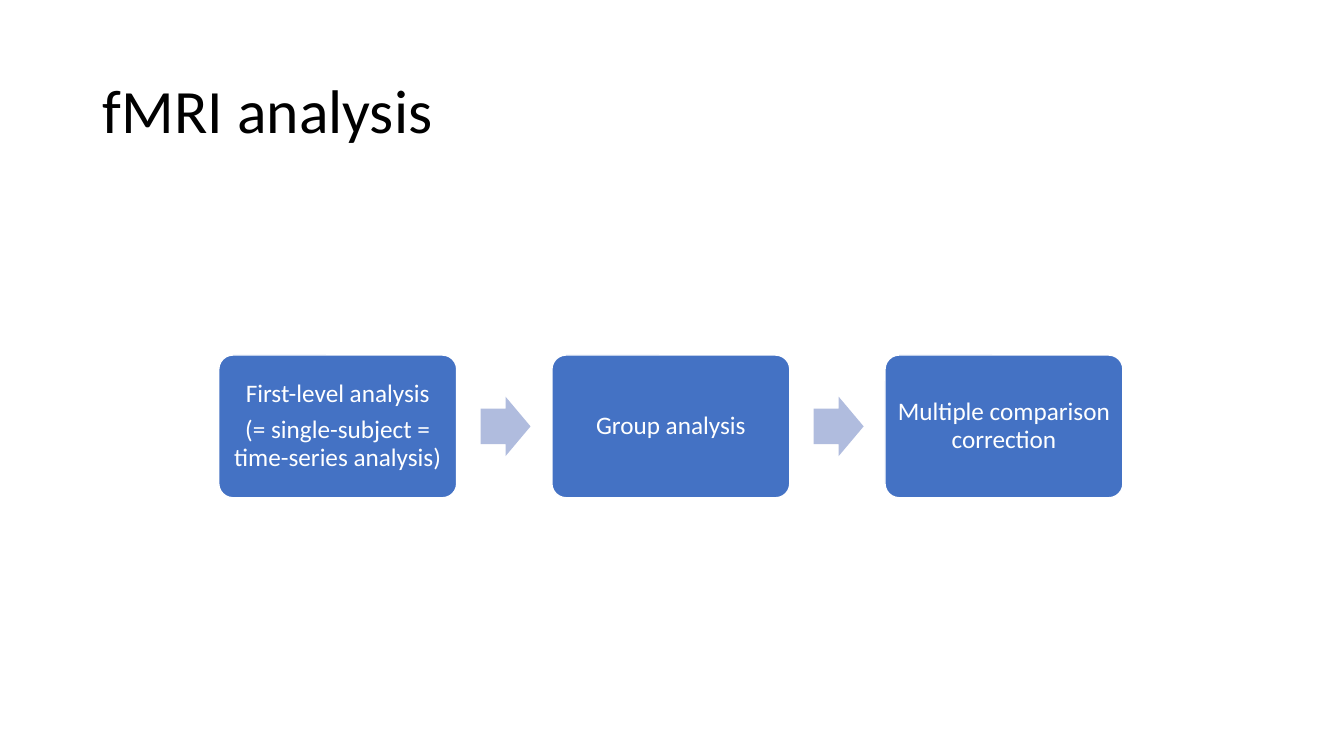
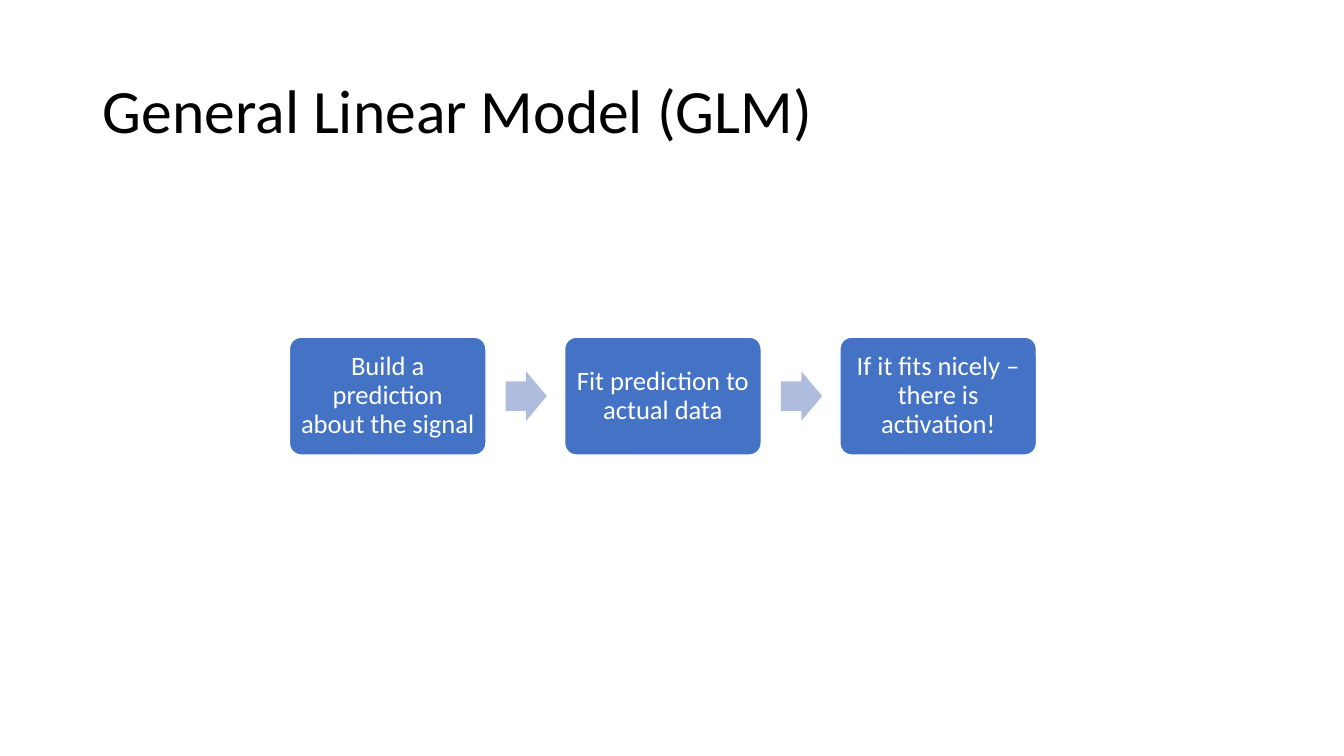
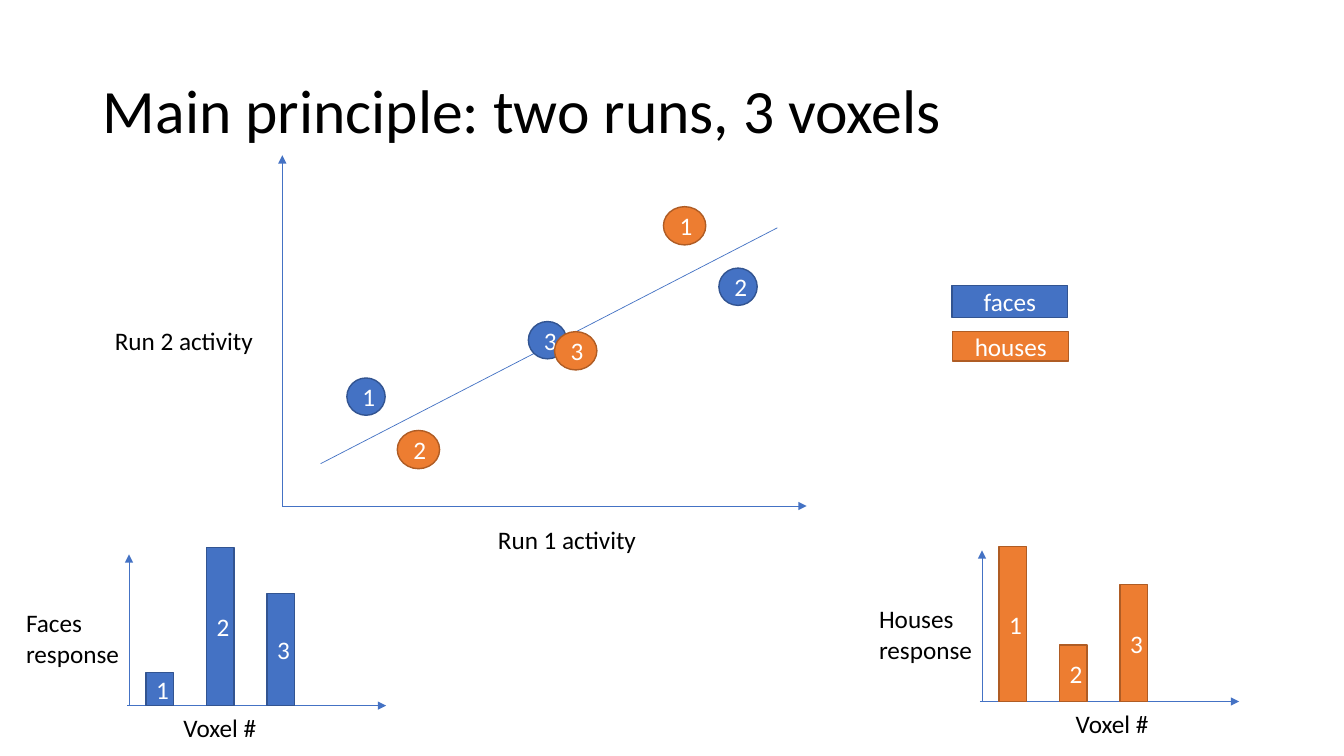
from dataclasses import dataclass

from lxml import etree
from pptx import Presentation
from pptx import util as u
from pptx.dml.color import RGBColor
from pptx.enum import shapes, text
from pptx.oxml import ns


@dataclass(frozen=True)
class Theme:
    font: str = "Calibri"
    title: int = 44
    body: int = 18
    black: str = "000000"
    white: str = "FFFFFF"
    blue: str = "4472C4"
    blue_edge: str = "325491"
    orange: str = "ED7D31"
    orange_edge: str = "AF5C24"
    arrow: str = "B0BCDE"
    edge: float = 1
    axis: float = 0.5


T = Theme()
SIZE = (13.33, 7.5)
TITLE_BOX = (0.92, 0.4, 11.5, 1.45)
BLUE = (T.blue, T.blue_edge)
ORANGE = (T.orange, T.orange_edge)

FLOWS = [
    {"title": "fMRI analysis", "left": 2.17, "middle": 4.23, "width": 2.36, "size": 18, "inset": 0.07,
     "steps": [["First-level analysis", "(= single-subject = time-series analysis)"],
               ["Group analysis"],
               ["Multiple comparison correction"]]},
    {"title": "General Linear Model (GLM)", "left": 2.87, "middle": 3.93, "width": 1.95, "size": 19, "inset": 0.08,
     "steps": [["Build a prediction about the signal"],
               ["Fit prediction to actual data"],
               ["If it fits nicely – there is activation!"]]},
]

SCATTER_TITLE = "Main principle: two runs, 3 voxels"
SCATTER_LINES = [
    ((2.8, 5.02), (2.8, 1.54), True),
    ((2.8, 5.02), (8, 5.02), True),
    ((3.18, 4.6), (7.71, 2.26), False),
]
SCATTER_LABELS = [("Run 2 activity", (1.04, 3.18, 1.59, 0.4)),
                  ("Run 1 activity", (4.84, 5.15, 1.65, 0.4))]
CONDITIONS = [
    {"legend": ("faces", (9.44, 2.83, 1.15, 0.32)), "colors": BLUE, "dot": (0.38, 0.37),
     "points": [(3.44, 3.75), (7.13, 2.66), (5.24, 3.19)],
     "label": "Faces response", "origin": (1.28, 7), "bars": [0.33, 1.57, 1.11], "voxel_x": 0.44},
    {"legend": ("houses", (9.45, 3.29, 1.15, 0.29)), "colors": ORANGE, "dot": (0.42, 0.38),
     "points": [(6.58, 2.05), (3.94, 4.27), (5.5, 3.29)],
     "label": "Houses response", "origin": (9.74, 6.96), "bars": [1.54, 0.56, 1.16], "voxel_x": 0.83},
]


def inches(values):
    return [u.Inches(v) for v in values]


def rgb(color):
    return RGBColor.from_string(color)


def write(tf, lines, size=T.body, color=T.black, align=None, spacing=None):
    for i, line in enumerate(lines):
        p = tf.paragraphs[0] if i == 0 else tf.add_paragraph()
        if align is not None:
            p.alignment = align
        if spacing:
            p.line_spacing = spacing
        if i:
            p.space_before = u.Pt(size * 0.35)
        r = p.add_run()
        r.text = line
        r.font.name, r.font.size = T.font, u.Pt(size)
        r.font.color.rgb = rgb(color)


def add_slide(prs, title):
    s = prs.slides.add_slide(prs.slide_layouts.get_by_name("Title Only"))
    tf = s.shapes.title.text_frame
    tf.vertical_anchor = text.MSO_ANCHOR.MIDDLE
    write(tf, [title], T.title, align=text.PP_ALIGN.LEFT, spacing=0.9)
    return s


def add_shape(s, kind, box, fill, edge=None, lines=(), size=T.body, spacing=None):
    sp = s.shapes.add_shape(kind, *inches(box))
    sp.shadow.inherit = False
    sp.fill.solid()
    sp.fill.fore_color.rgb = rgb(fill)
    if edge:
        sp.line.color.rgb = rgb(edge)
        sp.line.width = u.Pt(T.edge)
    else:
        sp.line.fill.background()
    write(sp.text_frame, lines, size, T.white, text.PP_ALIGN.CENTER, spacing)
    return sp


def add_label(s, label, box, wrap=False):
    tf = s.shapes.add_textbox(*inches(box)).text_frame
    tf.word_wrap = wrap
    tf.auto_size = text.MSO_AUTO_SIZE.SHAPE_TO_FIT_TEXT
    write(tf, [label])


def add_line(s, start, end, arrow=True):
    c = s.shapes.add_connector(shapes.MSO_CONNECTOR.STRAIGHT, *inches((*start, *end)))
    c.line.color.rgb = rgb(T.blue)
    c.line.width = u.Pt(T.axis)
    if arrow:
        etree.SubElement(c.line._get_or_add_ln(), ns.qn("a:tailEnd"), type="triangle")
    etree.SubElement(c._element.spPr, ns.qn("a:effectLst"))


def add_flow(prs, flow):
    s = add_slide(prs, flow["title"])
    w, middle = flow["width"], flow["middle"]
    h, arrow_w, arrow_h = 0.6 * w, 0.21 * w, 0.25 * w
    for i, step in enumerate(flow["steps"]):
        x = flow["left"] + i * 1.4 * w
        sp = add_shape(s, shapes.MSO_SHAPE.ROUNDED_RECTANGLE, (x, middle - h / 2, w, h),
                       T.blue, T.white, step, flow["size"], 0.9)
        sp.adjustments[0] = 0.1
        tf = sp.text_frame
        tf.margin_left = tf.margin_right = tf.margin_top = tf.margin_bottom = u.Inches(flow["inset"])
        if i < len(flow["steps"]) - 1:
            arrow = add_shape(s, shapes.MSO_SHAPE.RIGHT_ARROW,
                              (x + 1.1 * w, middle - arrow_h / 2, arrow_w, arrow_h), T.arrow)
            arrow.adjustments[0], arrow.adjustments[1] = 0.6, 0.5


def add_bars(s, cond):
    x, y = cond["origin"]
    add_line(s, (x, y), (x, y - 1.5))
    add_line(s, (x - 0.02, y), (x + 2.55, y))
    add_label(s, cond["label"], (x - 1.12, y - 1.02, 1.19, 0.71), wrap=True)
    add_label(s, "Voxel #", (x + cond["voxel_x"], y + 0.02, 0.93, 0.4))
    for i, h in enumerate(cond["bars"]):
        add_shape(s, shapes.MSO_SHAPE.RECTANGLE, (x + 0.17 + 0.6 * i, y - h, 0.27, h),
                  *cond["colors"], [str(i + 1)])


def add_scatter(prs):
    s = add_slide(prs, SCATTER_TITLE)
    for line in SCATTER_LINES:
        add_line(s, *line)
    for label, box in SCATTER_LABELS:
        add_label(s, label, box)
    for cond in CONDITIONS:
        name, box = cond["legend"]
        add_shape(s, shapes.MSO_SHAPE.RECTANGLE, box, *cond["colors"], [name])
        for i, point in enumerate(cond["points"], 1):
            add_shape(s, shapes.MSO_SHAPE.OVAL, (*point, *cond["dot"]), *cond["colors"], [str(i)])
        add_bars(s, cond)


def main():
    prs = Presentation()
    prs.slide_width, prs.slide_height = inches(SIZE)
    title = prs.slide_layouts.get_by_name("Title Only").placeholders[0]
    title.left, title.top, title.width, title.height = inches(TITLE_BOX)
    for flow in FLOWS:
        add_flow(prs, flow)
    add_scatter(prs)
    prs.save("out.pptx")


if __name__ == "__main__":
    main()
